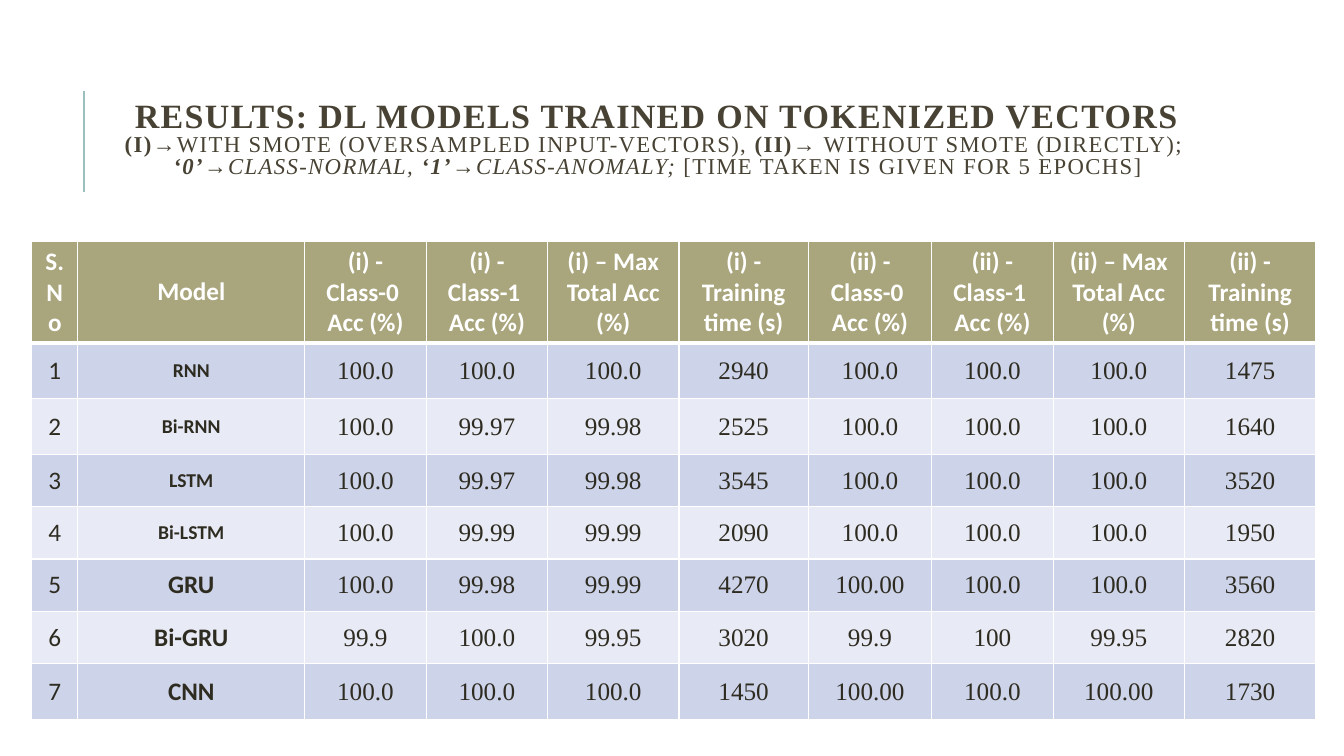
"""Build the slide that compares deep learning models trained on tokenized vectors."""
from lxml import etree
from pptx import Presentation
from pptx.dml.color import RGBColor as RGB
from pptx.enum.shapes import MSO_CONNECTOR as LINK
from pptx.enum.text import MSO_ANCHOR as ANCHOR, PP_ALIGN as ALIGN
from pptx.oxml.ns import qn
from pptx.util import Cm, Pt

COLORS = {"title": "474233", "rule": "9CBEBD", "head": "A9A57C", "odd": "CDD4EA",
          "even": "E8EBF5", "text": "2E2B21", "white": "FFFFFF"}
SERIF, SANS = "Times New Roman", "Calibri"


def style(run, face, size, color, bold=False, italic=False):
    font = run.font
    font.name, font.size, font.bold, font.italic = face, Pt(size), bold, italic
    font.color.rgb = RGB.from_string(COLORS[color])


def border(cell, side, width):
    line = etree.SubElement(cell._tc.get_or_add_tcPr(), qn("a:ln" + side), w=str(Pt(width)))
    fill = etree.SubElement(line, qn("a:solidFill"))
    etree.SubElement(fill, qn("a:srgbClr"), val=COLORS["white"])


deck = Presentation()
deck.slide_width, deck.slide_height = Cm(33.87), Cm(19.05)
slide = deck.slides.add_slide(deck.slide_layouts[6])

rule = slide.shapes.add_connector(LINK.STRAIGHT, Cm(2.12), Cm(4.83), Cm(2.12), Cm(2.29))
rule.line.color.rgb = RGB.from_string(COLORS["rule"])
rule.line.width = Pt(1.5)
etree.SubElement(rule._element.spPr, qn("a:effectLst"))

title = slide.shapes.add_textbox(Cm(2.13), Cm(1.98), Cm(28.58), Cm(3.12))
frame = title.text_frame
frame.word_wrap = True
frame.vertical_anchor = ANCHOR.MIDDLE
para = frame.paragraphs[0]
para.alignment, para.line_spacing = ALIGN.CENTER, 0.8
para._p.get_or_add_pPr().set("marL", str(Cm(0.3)))
lines = [
    [("RESULTS: DL MODELS TRAINED ON TOKENIZED VECTORS", 24.3, True, False)],
    [("(I)", 16.2, True, False),
     ("→WITH SMOTE (OVERSAMPLED INPUT-VECTORS), ", 16.2, False, False),
     ("(II)", 16.2, True, False),
     ("→ WITHOUT SMOTE (DIRECTLY); ", 16.2, False, False)],
    [("‘0’", 16.2, True, True),
     ("→CLASS-NORMAL, ", 16.2, False, True),
     ("‘1’", 16.2, True, True),
     ("→CLASS-ANOMALY; ", 16.2, False, True),
     ("[TIME TAKEN IS GIVEN FOR 5 EPOCHS]", 16.2, False, False)],
]
for i, parts in enumerate(lines):
    if i:
        para.add_line_break()
        etree.SubElement(para._p[-1], qn("a:rPr"), sz="1620")
    for words, size, bold, italic in parts:
        run = para.add_run()
        run.text = words
        style(run, SERIF, size, "title", bold, italic)
        run._r.get_or_add_rPr().set("spc", "100")

heads = ["S.No", "Model"]
for case in ("(i)", "(ii)"):
    heads += [f"{case} - Class-0 \nAcc (%)", f"{case} - Class-1 \nAcc (%)",
              f"{case} – Max Total Acc (%)", f"{case} - Training time (s)"]
models = [
    ("RNN", "100.0", "100.0", "100.0", "2940", "100.0", "100.0", "100.0", "1475"),
    ("Bi-RNN", "100.0", "99.97", "99.98", "2525", "100.0", "100.0", "100.0", "1640"),
    ("LSTM", "100.0", "99.97", "99.98", "3545", "100.0", "100.0", "100.0", "3520"),
    ("Bi-LSTM", "100.0", "99.99", "99.99", "2090", "100.0", "100.0", "100.0", "1950"),
    ("GRU", "100.0", "99.98", "99.99", "4270", "100.00", "100.0", "100.0", "3560"),
    ("Bi-GRU", "99.9", "100.0", "99.95", "3020", "99.9", "100", "99.95", "2820"),
    ("CNN", "100.0", "100.0", "100.0", "1450", "100.00", "100.0", "100.00", "1730"),
]
rows = [heads] + [(str(n), *model) for n, model in enumerate(models, 1)]
widths = [1.16, 5.72, 3.06, 3.06, 3.31, 3.26, 3.11, 3.06, 3.31, 3.31]
heights = [2.57, 1.4, 1.4, 1.32, 1.32, 1.32, 1.32, 1.4]

table = slide.shapes.add_table(len(rows), len(heads), Cm(0.8), Cm(6.08),
                               Cm(sum(widths)), Cm(sum(heights))).table
for col, width in zip(table.columns, widths):
    col.width = Cm(width)
for row, height in zip(table.rows, heights):
    row.height = Cm(height)

for r, row in enumerate(rows):
    shade = "head" if r == 0 else "odd" if r % 2 else "even"
    for c, words in enumerate(row):
        cell = table.cell(r, c)
        for side in "LRTB":
            border(cell, side, 3 if (r, side) in ((0, "B"), (1, "T")) else 1)
        cell.fill.solid()
        cell.fill.fore_color.rgb = RGB.from_string(COLORS[shade])
        cell.vertical_anchor = ANCHOR.MIDDLE
        cell.text_frame.text = words
        face = SERIF if r and c > 1 else SANS
        size = 14 if c == 1 and 1 <= r <= 4 else 18
        for para in cell.text_frame.paragraphs:
            para.alignment = ALIGN.CENTER
            style(para.runs[0], face, size, "text" if r else "white", r == 0 or c == 1)

deck.save("out.pptx")
